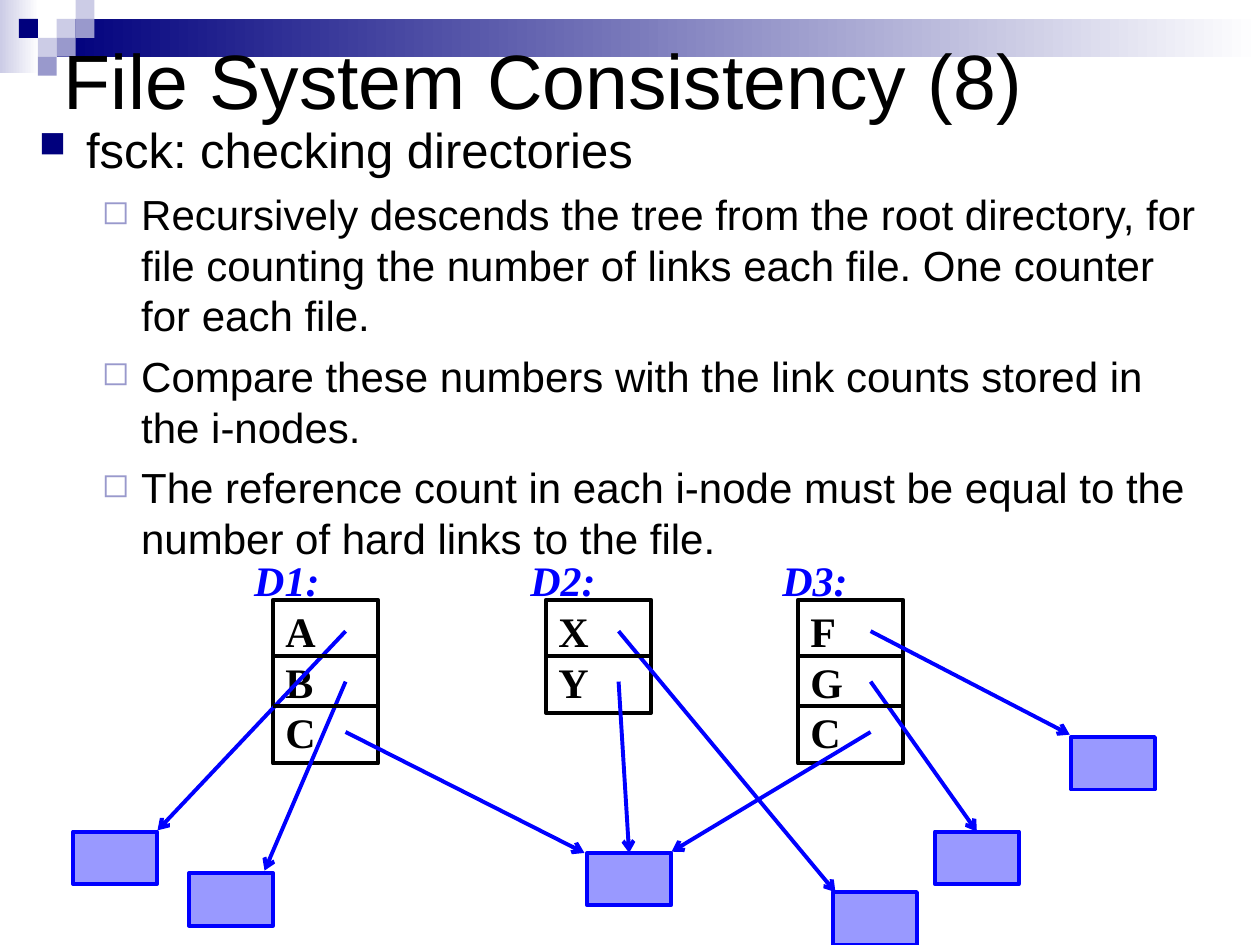
from dataclasses import dataclass

from lxml.etree import SubElement
from pptx import Presentation
from pptx.dml.color import RGBColor
from pptx.enum.shapes import MSO_CONNECTOR as Connector, MSO_SHAPE as Shape
from pptx.enum.text import MSO_ANCHOR as Anchor, PP_ALIGN as Align
from pptx.oxml.ns import qn
from pptx.util import Pt


@dataclass(frozen=True)
class Theme:
    sans: str = "Arial"
    serif: str = "Times New Roman"
    black: str = "000000"
    white: str = "FFFFFF"
    navy: str = "00007D"
    lavender: str = "9999CC"
    pale: str = "CCCCE6"
    blue: str = "0000FF"
    file_fill: str = "9999FF"
    title_size: float = 44
    heading_size: float = 28
    text_size: float = 24
    line_width: float = 2.25
    leading: float = 1.2


class SlideBuilder:
    def __init__(self, slide, theme):
        self.slide = slide
        self.theme = theme

    def style_text(self, paragraph, size, font, color, bold=False, italic=False):
        paragraph.alignment = Align.LEFT
        paragraph.line_spacing = Pt(size * self.theme.leading)
        for run in paragraph.runs:
            run.font.size = Pt(size)
            run.font.name = font
            run.font.bold = bold
            run.font.italic = italic
            run.font.color.rgb = RGBColor.from_string(color)

    def text_box(self, left, top, width, height, text, wrap=True):
        shape = self.slide.shapes.add_textbox(Pt(left), Pt(top), Pt(width), Pt(height))
        shape.text_frame.word_wrap = wrap
        shape.text_frame.text = text
        return shape.text_frame

    def bullet(self, paragraph, char, color, percent, margin, hang):
        properties = paragraph._p.get_or_add_pPr()
        properties.set("marL", str(Pt(margin)))
        properties.set("indent", str(-Pt(hang)))
        bullet_color = SubElement(properties, qn("a:buClr"))
        SubElement(bullet_color, qn("a:srgbClr"), val=color)
        SubElement(properties, qn("a:buSzPct"), val=str(percent * 1000))
        SubElement(properties, qn("a:buChar"), char=char)

    def rectangle(self, left, top, width, height, fill=None, line=None, fade_to=None):
        shape = self.slide.shapes.add_shape(
            Shape.RECTANGLE, Pt(left), Pt(top), Pt(width), Pt(height))
        shape.shadow.inherit = False
        if fade_to:
            shape.fill.gradient()
            shape.fill.gradient_angle = 0
            for stop, color in zip(shape.fill.gradient_stops, (fill, fade_to)):
                stop.color.rgb = RGBColor.from_string(color)
        elif fill:
            shape.fill.solid()
            shape.fill.fore_color.rgb = RGBColor.from_string(fill)
        else:
            shape.fill.background()
        if line:
            shape.line.color.rgb = RGBColor.from_string(line)
            shape.line.width = Pt(self.theme.line_width)
        else:
            shape.line.fill.background()
        return shape

    def line(self, start, end, color):
        connector = self.slide.shapes.add_connector(
            Connector.STRAIGHT, *(Pt(value) for value in (*start, *end)))
        connector.line.color.rgb = RGBColor.from_string(color)
        connector.line.width = Pt(self.theme.line_width)
        SubElement(connector._element.spPr, qn("a:effectLst"))
        return connector

    def arrow(self, start, end, color):
        connector = self.line(start, end, color)
        SubElement(connector.line._get_or_add_ln(), qn("a:tailEnd"), type="arrow")
        return connector

    def directory(self, left, top, width, height, names):
        theme = self.theme
        shape = self.rectangle(left, top, width, height, line=theme.black)
        frame = shape.text_frame
        frame.vertical_anchor = Anchor.TOP
        frame.text = "\n".join(names)
        for paragraph in frame.paragraphs:
            self.style_text(paragraph, theme.text_size, theme.serif, theme.black, bold=True)


def main():
    theme = Theme()
    presentation = Presentation()
    presentation.slide_width, presentation.slide_height = Pt(720), Pt(540)
    slide = presentation.slides.add_slide(presentation.slide_layouts[6])
    builder = SlideBuilder(slide, theme)

    # Header bands and mosaic of small squares
    builder.rectangle(0, 0, 22.3, 41.8, theme.pale, fade_to=theme.white)
    builder.rectangle(32.4, 10.8, 687.6, 21.6, theme.navy, fade_to=theme.white)
    square = 10.8
    mosaic = [(3, 1, theme.pale), (4, 0, theme.pale), (4, 1, theme.lavender),
              (2, 2, theme.pale), (1, 1, theme.navy), (3, 2, theme.lavender),
              (2, 3, theme.lavender)]
    for column, row, color in mosaic:
        builder.rectangle(column * square, row * square, square, square, color)

    # Title
    frame = builder.text_box(29.5, 18, 648, 54, "File System Consistency (8)")
    frame.vertical_anchor = Anchor.MIDDLE
    builder.style_text(frame.paragraphs[0], theme.title_size, theme.sans, theme.black)

    # Bulleted text
    points = [
        "fsck: checking directories",
        "Recursively descends the tree from the root directory, for file counting "
        "the number of links each file. One counter for each file.",
        "Compare these numbers with the link counts stored in the i-nodes.",
        "The reference count in each i-node must be equal to the number of hard "
        "links to the file.",
    ]
    frame = builder.text_box(15.1, 64.8, 684, 408, "\n".join(points))
    heading, *details = frame.paragraphs
    builder.bullet(heading, "■", theme.navy, 75, 27, 27)
    builder.style_text(heading, theme.heading_size, theme.sans, theme.black)
    for paragraph in details:
        paragraph.level = 1
        builder.bullet(paragraph, "◻", theme.lavender, 80, 58.5, 22.5)
        paragraph.space_before = Pt(6)
        builder.style_text(paragraph, theme.text_size, theme.sans, theme.black)

    # Directories: label, label left, table left, height, entries
    table_top, table_width, row_height = 342.7, 60, 28.8
    directories = [("D1:", 138.2, 156, 93.6, "ABC"),
                   ("D2:", 296, 312, 64.8, "XY"),
                   ("D3:", 440, 456, 93.6, "FGC")]
    for label, label_left, left, height, names in directories:
        builder.directory(left, table_top, table_width, height, names)
        frame = builder.text_box(label_left, 313.2, 52, 36, label, wrap=False)
        builder.style_text(frame.paragraphs[0], theme.text_size, theme.serif,
                           theme.blue, bold=True, italic=True)

    # Files
    file_corners = {"A": (41.8, 475.2), "B": (108, 499), "shared": (335.5, 487.4),
                    "X": (476, 509.8), "F": (612, 421.2), "G": (534.2, 475.2)}
    files = {name: builder.rectangle(*corner, 48, 30, theme.file_fill, theme.blue)
             for name, corner in file_corners.items()}

    # Links from directory entries: table, row, end point, file joined at its top
    links = [(0, 0, (90, 474.5), None), (0, 1, (151.2, 497.5), None),
             (0, 2, (334, 487.4), None), (1, 0, (477.4, 509.8), None),
             (1, 1, (359.5, 487.4), "shared"), (2, 0, (611.3, 419.8), None),
             (2, 1, (558.2, 475.2), "G"), (2, 2, (383.8, 486.7), None)]
    for table, row, end, joined in links:
        start = (directories[table][2] + 41.5, 360.7 + row * row_height)
        arrow = builder.arrow(start, end, theme.blue)
        if joined:
            arrow.end_connect(files[joined], 0)

    # Row dividers
    for _, _, left, _, names in directories:
        for row in range(len(names) - 1):
            y = 374.6 + row * row_height
            builder.line((left, y), (left + table_width, y), theme.black)

    presentation.save("out.pptx")


if __name__ == "__main__":
    main()
